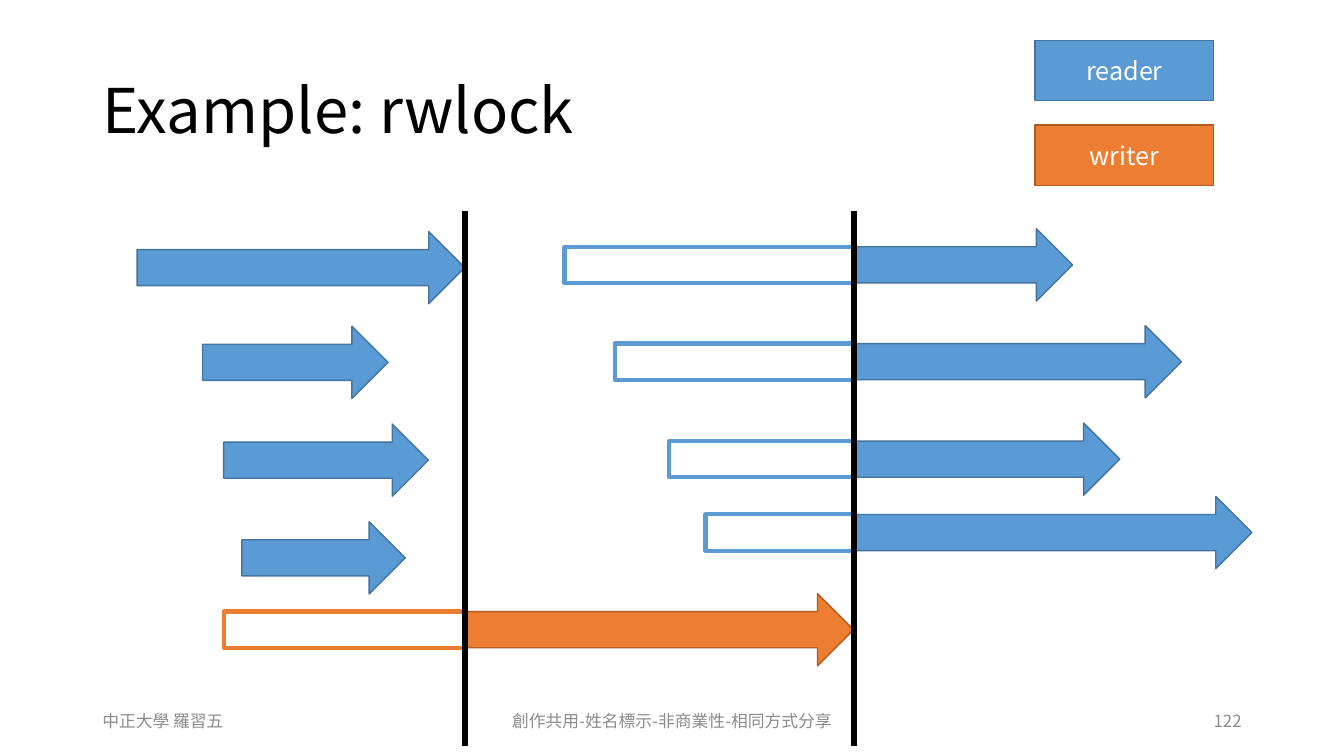
import pptx
import pptx.dml.color
import pptx.enum.shapes
import pptx.enum.text
import pptx.oxml.ns
import pptx.util
from lxml import etree

Pt = pptx.util.Pt
Align = pptx.enum.text.PP_ALIGN
Shape = pptx.enum.shapes.MSO_SHAPE

FONT = "Noto Sans CJK TC"
TITLE = "Example: rwlock"
COLORS = {"reader": ("5B9BD5", "43739E"), "writer": ("ED7D31", "AF5C24")}
WRITER_START, WRITER_END = 332, 609.8

# kind, arrival, start of work, end of work, vertical centre
JOBS = [
    ("reader", 97.9, 97.9, WRITER_START, 191.2),
    ("reader", 144.7, 144.7, 277.2, 258.8),
    ("reader", 159.8, 159.8, 306, 328.7),
    ("reader", 172.8, 172.8, 289.5, 398.5),
    ("writer", 159.8, WRITER_START, WRITER_END, 449.8),
    ("reader", 403.2, WRITER_END, 766.1, 189.2),
    ("reader", 439.2, WRITER_END, 843.8, 258.4),
    ("reader", 478.1, WRITER_END, 799.9, 328),
    ("reader", 504, WRITER_END, 894.2, 380.4),
]
# text, left, width, alignment
FOOTER = [
    ("中正大學 羅習五", 66, 216, Align.LEFT),
    ("創作共用-姓名標示-非商業性-相同方式分享", 318, 324, Align.CENTER),
    ("122", 678, 216, Align.RIGHT),
]
ARROW_HEIGHT, BAR_HEIGHT = 51.6, 26
LINE_TOP, LINE_BOTTOM = 150.5, 533
LEGEND_LEFT, LEGEND_TOP, LEGEND_STEP = 739.4, 28.8, 60.5


def color(value):
    return pptx.dml.color.RGBColor.from_string(value)


def write(box, text, size, ink, align):
    frame = box.text_frame
    frame.word_wrap = True
    frame.vertical_anchor = pptx.enum.text.MSO_ANCHOR.MIDDLE
    para = frame.paragraphs[0]
    para.text = text
    para.alignment = align
    para.font.size = Pt(size)
    para.font.name = FONT
    para.font.color.rgb = color(ink)
    # East Asian characters take their typeface from a separate element.
    properties = para._p.pPr.find(pptx.oxml.ns.qn("a:defRPr"))
    etree.SubElement(properties, pptx.oxml.ns.qn("a:ea"), typeface=FONT)
    return para


def add_block(page, preset, left, top, width, height, fill, outline, weight):
    block = page.shapes.add_shape(preset, Pt(left), Pt(top), Pt(width), Pt(height))
    block.shadow.inherit = False
    if fill:
        block.fill.solid()
        block.fill.fore_color.rgb = color(fill)
    else:
        block.fill.background()
    block.line.color.rgb = color(outline)
    block.line.width = Pt(weight)
    return block


def add_job(page, kind, arrival, start, end, centre):
    """Draw the waiting time as a hollow bar and the work as an arrow."""
    fill, outline = COLORS[kind]
    if arrival < start:
        add_block(page, Shape.RECTANGLE, arrival, centre - BAR_HEIGHT / 2,
                  start - arrival, BAR_HEIGHT, None, fill, 3)
    add_block(page, Shape.RIGHT_ARROW, start, centre - ARROW_HEIGHT / 2,
              end - start, ARROW_HEIGHT, fill, outline, 1)


def add_time_line(page, x):
    line = page.shapes.add_connector(pptx.enum.shapes.MSO_CONNECTOR.STRAIGHT,
                                     Pt(x), Pt(LINE_TOP), Pt(x), Pt(LINE_BOTTOM))
    line.line.color.rgb = color("000000")
    line.line.width = Pt(4.5)
    etree.SubElement(line._element.spPr, pptx.oxml.ns.qn("a:effectLst"))


def main():
    deck = pptx.Presentation()
    deck.slide_width, deck.slide_height = Pt(960), Pt(540)
    page = deck.slides.add_slide(deck.slide_layouts[5])

    title = page.shapes.title
    title.left, title.top, title.width, title.height = Pt(66), Pt(28.8), Pt(828), Pt(104.4)
    write(title, TITLE, 44, "000000", Align.LEFT).line_spacing = 0.9

    for job in JOBS:
        add_job(page, *job)
    for x in (WRITER_START, WRITER_END):
        add_time_line(page, x)

    for index, (kind, (fill, outline)) in enumerate(COLORS.items()):
        key = add_block(page, Shape.RECTANGLE, LEGEND_LEFT, LEGEND_TOP + index * LEGEND_STEP,
                        127.6, 43.2, fill, outline, 1)
        write(key, kind, 18, "FFFFFF", Align.CENTER)

    for text, left, width, align in FOOTER:
        box = page.shapes.add_textbox(Pt(left), Pt(500.5), Pt(width), Pt(28.8))
        write(box, text, 12, "8C8C8C", align)

    deck.save("out.pptx")


if __name__ == "__main__":
    main()
